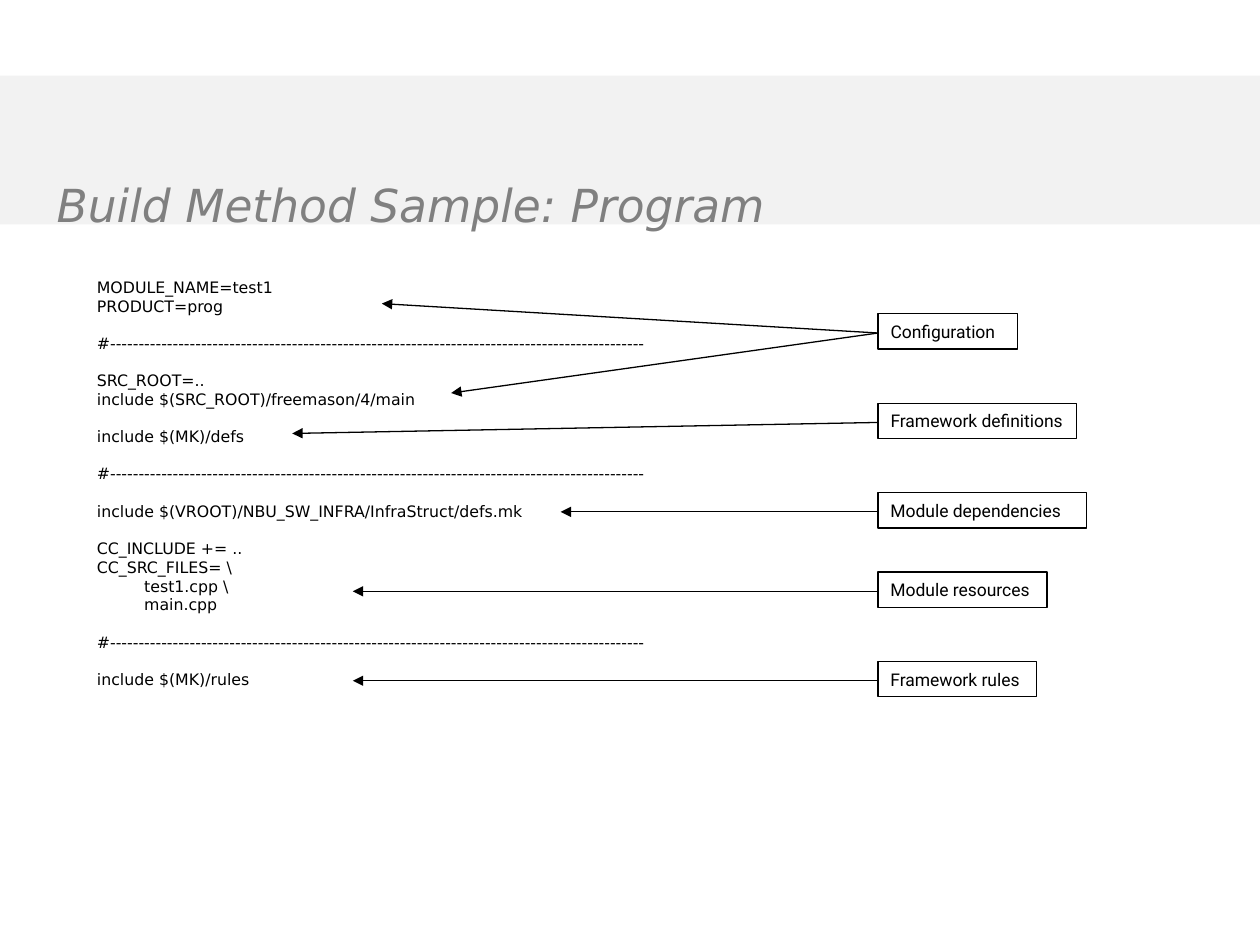
from dataclasses import dataclass

from lxml.etree import SubElement
from pptx import Presentation
from pptx.dml.color import RGBColor
from pptx.enum.shapes import MSO_CONNECTOR, MSO_SHAPE
from pptx.enum.text import MSO_ANCHOR, MSO_AUTO_SIZE, PP_ALIGN
from pptx.oxml.ns import qn
from pptx.util import Pt

INK = {"band": "F2F2F2", "title": "808080", "text": "000000"}
SANS, LABEL = "DejaVu Sans", "Roboto"
LEFT = 501.8
TALL = 20.2
MID = 11
STEP = 2.1
PITCH = 10.5
INDENT = 27
RULE = "#" + "-" * 94

# Each block is a group of lines, set off from the next by one line of space.
BLOCKS = [
    ["MODULE_NAME=test1", "PRODUCT=prog"],
    [RULE],
    ["SRC_ROOT=..", "include $(SRC_ROOT)/freemason/4/main"],
    ["include $(MK)/defs"],
    [RULE],
    ["include $(VROOT)/NBU_SW_INFRA/InfraStruct/defs.mk"],
    ["CC_INCLUDE += ..", "CC_SRC_FILES= \\", "test1.cpp \\", "main.cpp"],
    [RULE],
    ["include $(MK)/rules"],
]
NESTED = {"test1.cpp \\", "main.cpp"}


@dataclass
class Note:
    text: str
    top: float
    width: float
    tips: list[tuple[float, float]]


NOTES = [
    Note("Configuration", 179.3, 79.5, [(218.2, 173.5), (257.8, 224.6)]),
    Note("Framework definitions", 230.4, 113.3, [(167, 247.7)]),
    Note("Module dependencies", 281.5, 119, [(320.4, 292.5)]),
    Note("Module resources", 326.9, 96.5, [(201.6, 337.9)]),
    Note("Framework rules", 378, 90.7, [(201.6, 389)]),
]


def color(name: str) -> RGBColor:
    return RGBColor.from_string(INK[name])


def style(para, face: str, size: float, ink: str) -> None:
    para.alignment = PP_ALIGN.LEFT
    for run in para.runs:
        run.font.name = face
        run.font.size = Pt(size)
        run.font.color.rgb = color(ink)


def place(shape, left: float, top: float, width: float, height: float) -> None:
    shape.left, shape.top = Pt(left), Pt(top)
    shape.width, shape.height = Pt(width), Pt(height)


def add_band(slide) -> None:
    """Draw the grey strip behind the title."""
    band = slide.shapes.add_shape(
        MSO_SHAPE.RECTANGLE, 0, Pt(43.2), Pt(720), Pt(85))
    band.shadow.inherit = False
    band.fill.solid()
    band.fill.fore_color.rgb = color("band")
    band.line.fill.background()
    slide.shapes.element.insert(2, band.element)


def add_title(slide, text: str) -> None:
    title = slide.shapes.title
    place(title, 25.2, 79.9, 459.4, 73.4)
    frame = title.text_frame
    frame.text = text
    frame.auto_size = MSO_AUTO_SIZE.NONE
    frame.vertical_anchor = MSO_ANCHOR.MIDDLE
    para = frame.paragraphs[0]
    style(para, SANS, 26, "title")
    para.runs[0].font.italic = True


def add_code(slide) -> None:
    body = slide.placeholders[1]
    place(body, 48.2, 157, 615.6, 319)
    frame = body.text_frame
    frame.text = "\n".join(line for block in BLOCKS for line in block)
    frame.auto_size = MSO_AUTO_SIZE.NONE
    frame.vertical_anchor = MSO_ANCHOR.TOP
    first = [i == 0 for block in BLOCKS for i in range(len(block))]
    for i, (para, new) in enumerate(zip(frame.paragraphs, first)):
        para.line_spacing = 0.8
        para.space_before = Pt(STEP + PITCH if new and i else STEP)
        style(para, SANS, 9, "text")
        props = para._p.get_or_add_pPr()
        props.set("marL", str(Pt(INDENT)))
        props.set("indent", str(Pt(0 if para.text in NESTED else -INDENT)))
        SubElement(props, qn("a:buNone"))


def add_arrow(slide, top: float, tip: tuple[float, float]) -> None:
    arrow = slide.shapes.add_connector(
        MSO_CONNECTOR.STRAIGHT, Pt(LEFT), Pt(top), Pt(tip[0]), Pt(tip[1]))
    arrow.line.color.rgb = color("text")
    arrow.line.width = Pt(0.75)
    SubElement(arrow.line._get_or_add_ln(), qn("a:tailEnd"), type="triangle")
    SubElement(arrow.element.spPr, qn("a:effectLst"))


def add_note(slide, note: Note) -> None:
    """Draw a label box and its arrows into the code."""
    box = slide.shapes.add_shape(
        MSO_SHAPE.RECTANGLE, Pt(LEFT), Pt(note.top), Pt(note.width), Pt(TALL))
    box.shadow.inherit = False
    box.fill.background()
    box.line.color.rgb = color("text")
    box.line.width = Pt(0.75)
    frame = box.text_frame
    frame.text = note.text
    frame.word_wrap = True
    frame.vertical_anchor = MSO_ANCHOR.MIDDLE
    style(frame.paragraphs[0], LABEL, 10, "text")
    for tip in note.tips:
        add_arrow(slide, note.top + MID, tip)


def main() -> None:
    deck = Presentation()
    deck.slide_width, deck.slide_height = Pt(720), Pt(540)
    slide = deck.slides.add_slide(deck.slide_layouts[1])
    add_band(slide)
    add_title(slide, "Build Method Sample: Program")
    add_code(slide)
    for note in NOTES:
        add_note(slide, note)
    deck.save("out.pptx")


if __name__ == "__main__":
    main()
